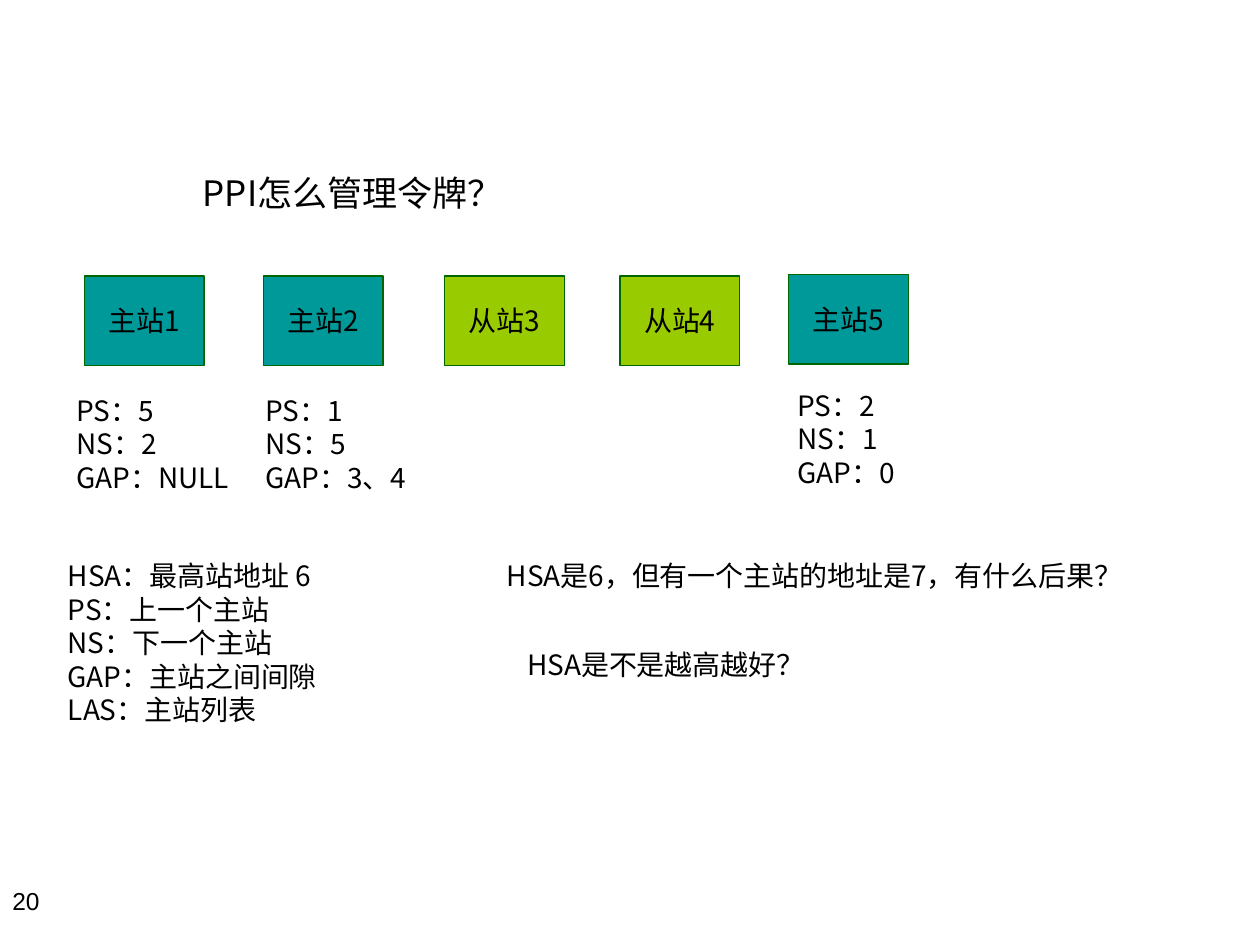
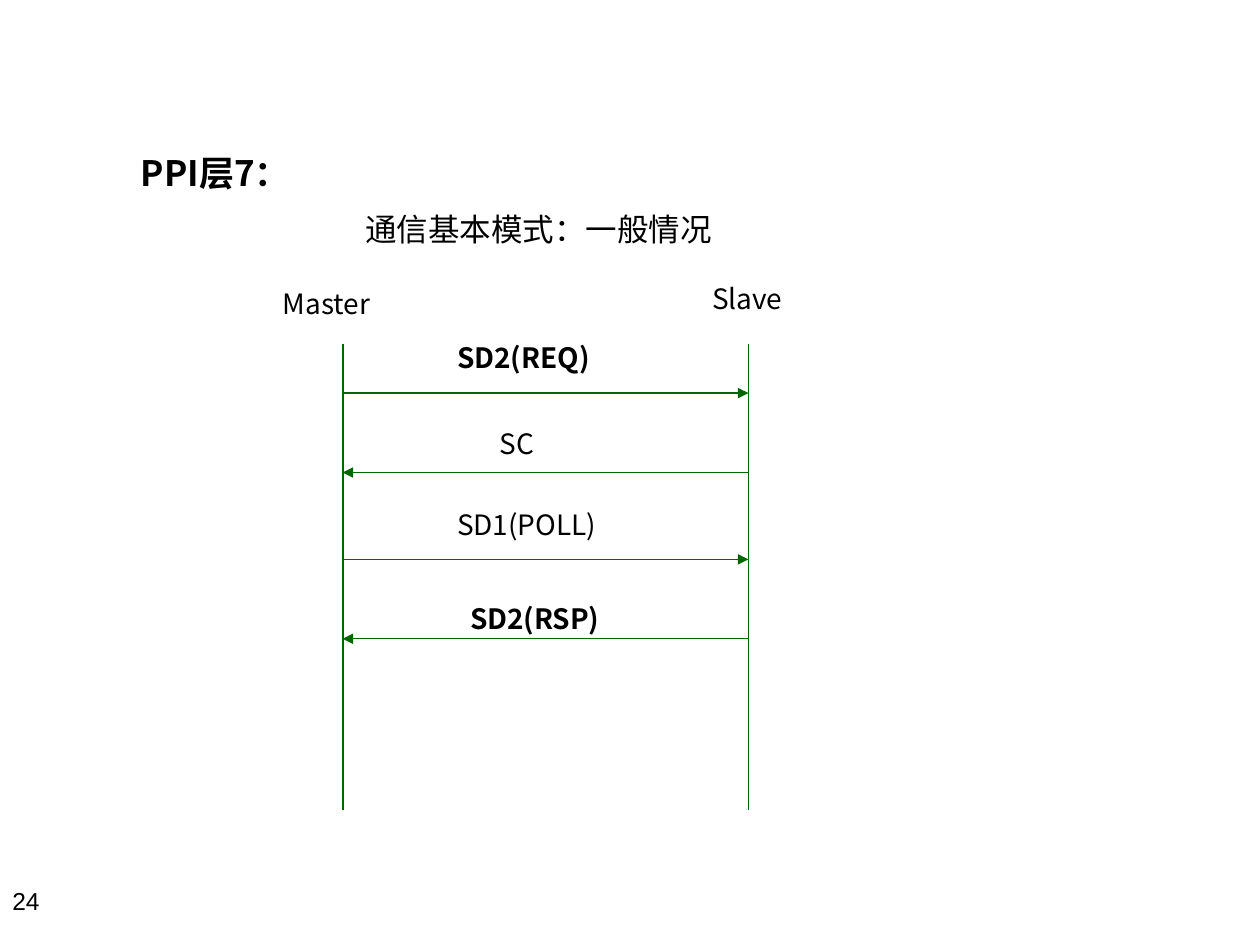
from lxml.etree import SubElement
from pptx import Presentation
from pptx.dml.color import RGBColor
from pptx.enum.lang import MSO_LANGUAGE_ID
from pptx.enum.shapes import MSO_CONNECTOR, MSO_SHAPE
from pptx.enum.text import MSO_ANCHOR, MSO_AUTO_SIZE, PP_ALIGN
from pptx.oxml.ns import qn
from pptx.util import Inches, Pt

COLORS = {"text": "000000", "line": "006600", "master": "009999", "slave": "99CC00"}
CJK = "Noto Sans CJK SC"
TITLE_ONLY = 5

TOKEN = {
    "title": ("PPI怎么管理令牌？", (1.49, 1.31, 2.62, 0.44), False),
    "number": "20",
}
STATION_SIZE = (0.95, 0.71)
STATIONS = [
    ("主站1", "master", 0.67, 2.19),
    ("主站2", "master", 2.09, 2.19),
    ("从站3", "slave", 3.53, 2.19),
    ("从站4", "slave", 4.92, 2.19),
    ("主站5", "master", 6.26, 2.18),
]
LISTS = [
    (["PS：5", "NS：2", "GAP：NULL"], (0.51, 3.07, 1.51, 0.9)),
    (["PS：1", "NS：5", "GAP：3、4"], (2.01, 3.07, 1.53, 0.9)),
    (["PS：2", "NS：1", "GAP：0"], (6.23, 3.03, 1.08, 0.9)),
    (["HSA：最高站地址 6", "PS：上一个主站", "NS：下一个主站", "GAP：主站之间间隙", "LAS：主站列表"],
     (0.44, 4.38, 2.23, 1.44)),
]
QUESTIONS = [
    ("HSA是6，但有一个主站的地址是7，有什么后果？", (3.79, 4.38, 5.35, 0.37)),
    ("HSA是不是越高越好？", (4.06, 5.09, 2.45, 0.37)),
]

LAYER = {
    "title": ("PPI层7：", (0.96, 1.15, 1.5, 0.44), True),
    "number": "24",
}
SUBTITLE = ("通信基本模式：一般情况", (2.8, 1.62, 2.95, 0.4))
LIFELINES = [
    ("Master", 2.72, (2.14, 2.22, 0.9, 0.37)),
    ("Slave", 5.94, (5.55, 2.18, 0.76, 0.37)),
]
LIFELINE_TOP, LIFELINE_BOTTOM = 2.73, 6.43
MESSAGES = [
    ("SD2(REQ)", True, (3.53, 2.65, 1.25, 0.37)),
    ("SC", False, (3.87, 3.33, 0.47, 0.37)),
    ("SD1(POLL)", False, (3.53, 3.98, 1.3, 0.37)),
    ("SD2(RSP)", True, (3.63, 4.72, 1.23, 0.37)),
]
FIRST_MESSAGE, EXCHANGE_STEP, REPLY_GAP = 3.12, 1.32, 0.63


def rgb(name):
    return RGBColor.from_string(COLORS[name])


def place(box):
    return [Inches(v) for v in box]


def write(sp, lines, size=16, bold=False, align=PP_ALIGN.CENTER, font=CJK,
          anchor=MSO_ANCHOR.MIDDLE, wrap=False):
    tf = sp.text_frame
    frame = {"word_wrap": wrap, "auto_size": MSO_AUTO_SIZE.NONE, "vertical_anchor": anchor,
             "margin_left": Inches(0.1), "margin_right": Inches(0.1),
             "margin_top": Inches(0.05), "margin_bottom": Inches(0.05)}
    for name, value in frame.items():
        setattr(tf, name, value)
    for i, line in enumerate(lines):
        p = tf.paragraphs[0] if i == 0 else tf.add_paragraph()
        p.alignment = align
        r = p.add_run()
        r.text = line
        style = {"name": font, "size": Pt(size), "bold": bold,
                 "language_id": MSO_LANGUAGE_ID.SIMPLIFIED_CHINESE}
        for name, value in style.items():
            setattr(r.font, name, value)
        r.font.color.rgb = rgb("text")
        SubElement(r.font._element, qn("a:ea"), typeface=font)


def add_text(s, lines, box, **style):
    write(s.shapes.add_textbox(*place(box)), lines, **style)


def add_line(s, start, end, width, arrow=False):
    c = s.shapes.add_connector(MSO_CONNECTOR.STRAIGHT, *place(start + end))
    c.line.color.rgb = rgb("line")
    c.line.width = Pt(width)
    if arrow:
        SubElement(c.line._get_or_add_ln(), qn("a:tailEnd"), type="triangle")
    SubElement(c._element.spPr, qn("a:effectLst"))


def add_slide(prs, content):
    s = prs.slides.add_slide(prs.slide_layouts[TITLE_ONLY])
    text, box, bold = content["title"]
    title = s.shapes.title
    title.left, title.top, title.width, title.height = place(box)
    write(title, [text], size=20, bold=bold, wrap=True)
    add_text(s, [content["number"]], (0, 6.98, 2.33, 0.52), size=14, font="Arial",
             align=PP_ALIGN.LEFT, anchor=MSO_ANCHOR.TOP)
    return s


def build_token_slide(prs):
    s = add_slide(prs, TOKEN)
    for label, role, left, top in STATIONS:
        sp = s.shapes.add_shape(MSO_SHAPE.RECTANGLE, *place((left, top) + STATION_SIZE))
        sp.shadow.inherit = False
        sp.fill.solid()
        sp.fill.fore_color.rgb = rgb(role)
        sp.line.color.rgb = rgb("line")
        sp.line.width = Pt(0.75)
        write(sp, [label])
    for lines, box in LISTS:
        add_text(s, lines, box, align=PP_ALIGN.LEFT)
    for question, box in QUESTIONS:
        add_text(s, [question], box)


def build_layer_slide(prs):
    s = add_slide(prs, LAYER)
    text, box = SUBTITLE
    add_text(s, [text], box, size=18)
    for name, x, box in LIFELINES:
        add_line(s, (x, LIFELINE_TOP), (x, LIFELINE_BOTTOM), 1)
        add_text(s, [name], box)
    ends = [x for _, x, _ in LIFELINES]
    for i, (label, bold, box) in enumerate(MESSAGES):
        exchange, reply = divmod(i, 2)
        y = FIRST_MESSAGE + exchange * EXCHANGE_STEP + reply * REPLY_GAP
        start, end = reversed(ends) if reply else ends
        add_line(s, (start, y), (end, y), 0.75, arrow=True)
        add_text(s, [label], box, bold=bold)


def main():
    prs = Presentation()
    prs.slide_width, prs.slide_height = Inches(10), Inches(7.5)
    build_token_slide(prs)
    build_layer_slide(prs)
    prs.save("out.pptx")


if __name__ == "__main__":
    main()
